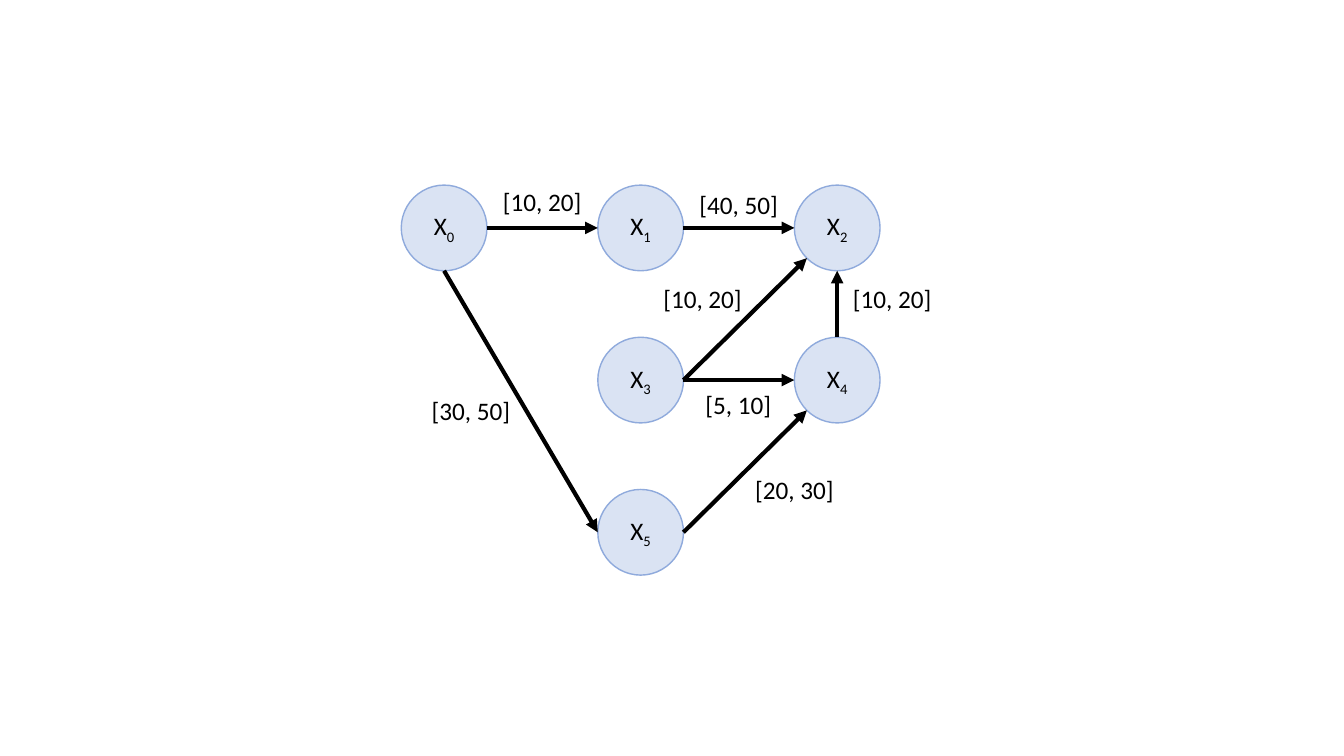
from math import cos, radians, sin

from lxml.etree import SubElement
from pptx import Presentation
from pptx.dml.color import RGBColor
from pptx.enum.shapes import MSO_CONNECTOR as Connector, MSO_SHAPE as Shape
from pptx.enum.text import MSO_ANCHOR as Anchor, MSO_AUTO_SIZE as AutoSize, PP_ALIGN as Align
from pptx.oxml.ns import qn
from pptx.util import Pt

DIAMETER = 61.2
FIRST_LEFT, FIRST_TOP = 286.6, 132.2
COLUMN_STEP, ROW_STEP = 140.4, 108.7
LABEL_HEIGHT = 29

NODES = [(0, 0), (1, 0), (2, 0), (1, 1), (2, 1), (1, 2)]

RIGHT, BOTTOM, LEFT, LOWER_LEFT, TOP = 0, 90, 180, 135, 270
EDGES = [
    (0, RIGHT, 1, LEFT),
    (1, RIGHT, 2, LEFT),
    (0, BOTTOM, 5, LEFT),
    (3, RIGHT, 2, LOWER_LEFT),
    (5, RIGHT, 4, LOWER_LEFT),
    (3, RIGHT, 4, LEFT),
    (4, TOP, 2, BOTTOM),
]

LABELS = [
    ("[10, 20]", 352.1, 129.2, 71.3),
    ("[40, 50]", 492.5, 131.5, 71.3),
    ("[10, 20]", 466.7, 198.7, 71.3),
    ("[10, 20]", 602.2, 198.7, 71.3),
    ("[5, 10]", 496.8, 274.3, 61.9),
    ("[30, 50]", 301.2, 278.6, 71.3),
    ("[20, 30]", 532.3, 335.5, 71.3),
]


def color(value):
    return RGBColor.from_string(value)


def format_span(span):
    span.font.name = "Calibri"
    span.font.size = Pt(18)
    span.font.color.rgb = color("000000")


def node_corner(node):
    column, row = NODES[node]
    return FIRST_LEFT + column * COLUMN_STEP, FIRST_TOP + row * ROW_STEP


def rim_point(node, angle):
    left, top = node_corner(node)
    radius = DIAMETER / 2
    return (
        Pt(left + radius + radius * cos(radians(angle))),
        Pt(top + radius + radius * sin(radians(angle))),
    )


def add_node(shapes, node):
    left, top = node_corner(node)
    circle = shapes.add_shape(Shape.OVAL, Pt(left), Pt(top), Pt(DIAMETER), Pt(DIAMETER))
    circle.shadow.inherit = False
    circle.fill.solid()
    circle.fill.fore_color.rgb = color("DAE3F3")
    circle.line.color.rgb = color("8FAADC")
    circle.line.width = Pt(1)
    circle.text_frame.vertical_anchor = Anchor.MIDDLE
    para = circle.text_frame.paragraphs[0]
    para.alignment = Align.CENTER
    for text in ("X", str(node)):
        span = para.add_run()
        span.text = text
        format_span(span)
    span._r.get_or_add_rPr().set("baseline", "-25000")


def add_arrow(shapes, source, source_angle, target, target_angle):
    arrow = shapes.add_connector(
        Connector.STRAIGHT, *rim_point(source, source_angle), *rim_point(target, target_angle)
    )
    arrow.line.color.rgb = color("000000")
    arrow.line.width = Pt(3)
    SubElement(arrow.line._get_or_add_ln(), qn("a:tailEnd"), type="triangle")
    SubElement(arrow._element.spPr, qn("a:effectLst"))


def add_label(shapes, text, left, top, width):
    box = shapes.add_textbox(Pt(left), Pt(top), Pt(width), Pt(LABEL_HEIGHT))
    frame = box.text_frame
    frame.word_wrap = False
    frame.auto_size = AutoSize.SHAPE_TO_FIT_TEXT
    frame.text = text
    format_span(frame.paragraphs[0].runs[0])


def main():
    deck = Presentation()
    deck.slide_width, deck.slide_height = Pt(960), Pt(540)
    page = deck.slides.add_slide(deck.slide_layouts[6])
    graph = page.shapes.add_group_shape().shapes
    for node in range(len(NODES)):
        add_node(graph, node)
    for edge in EDGES:
        add_arrow(graph, *edge)
    for label in LABELS:
        add_label(graph, *label)
    deck.save("out.pptx")


if __name__ == "__main__":
    main()
